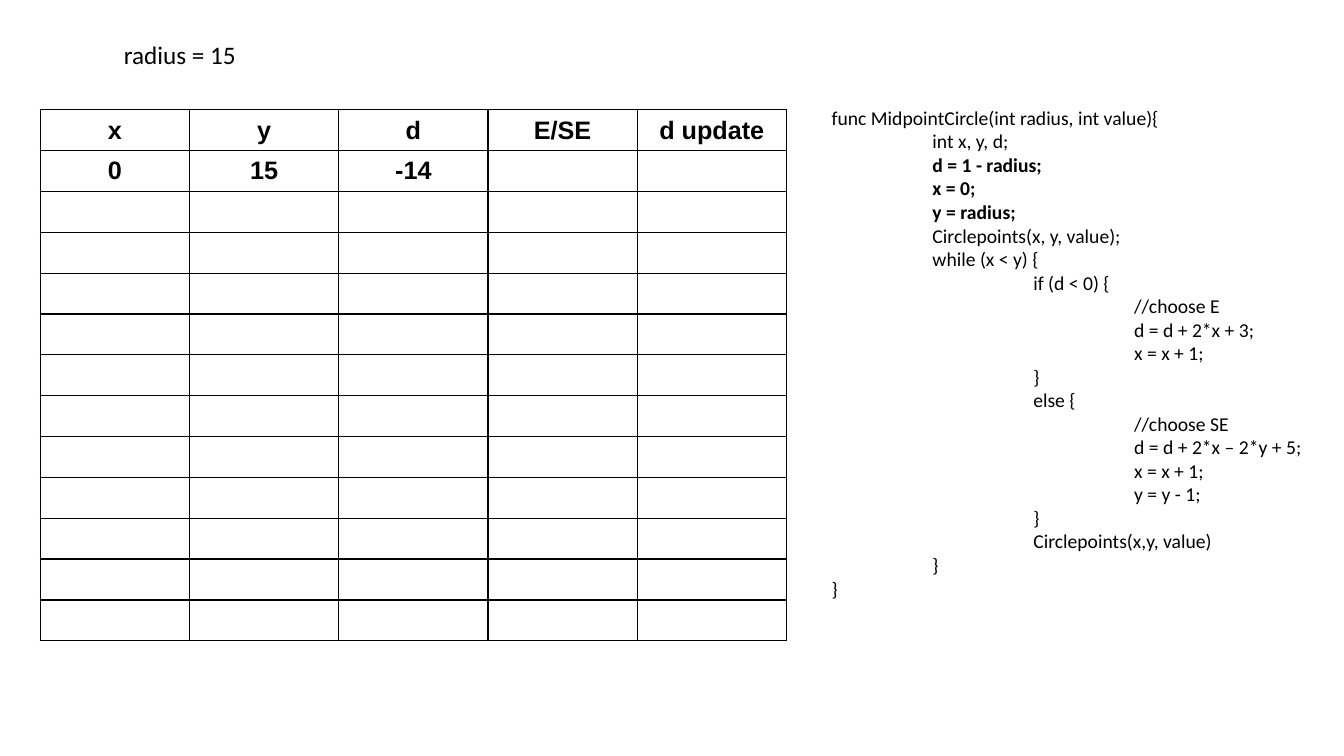
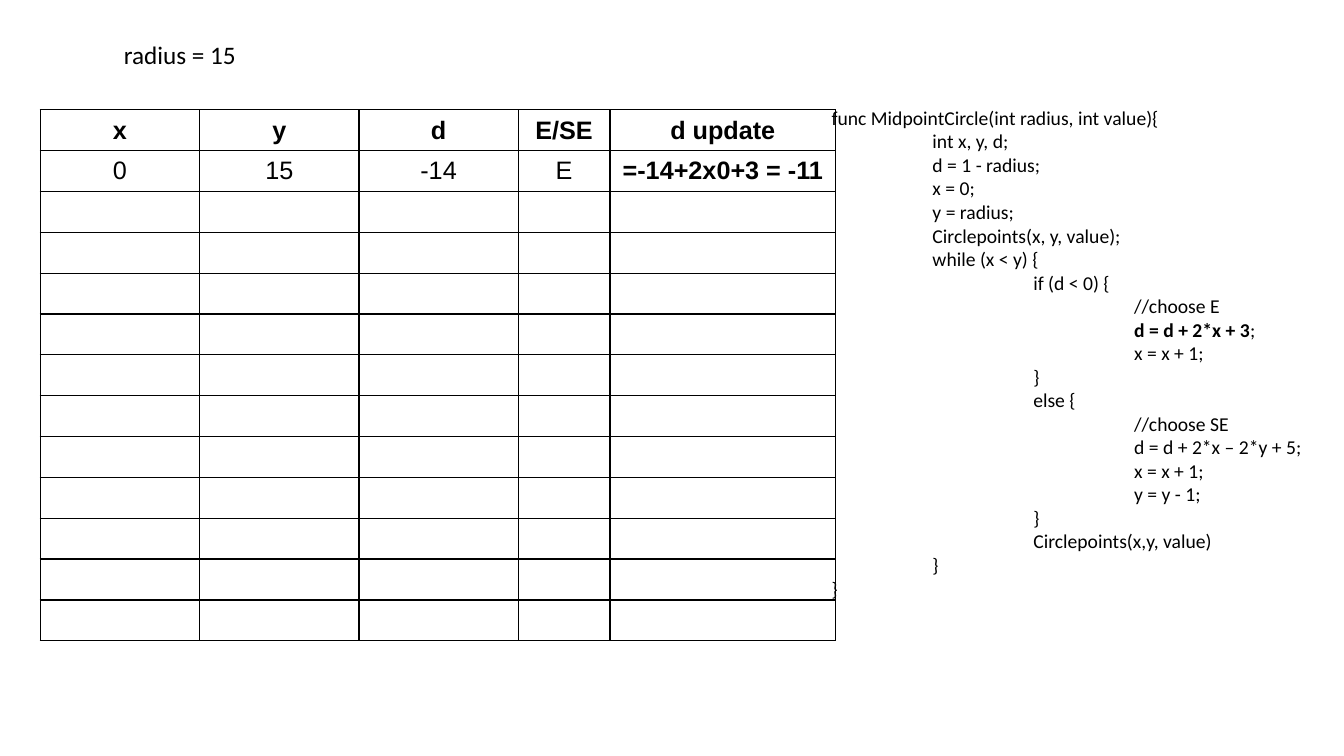
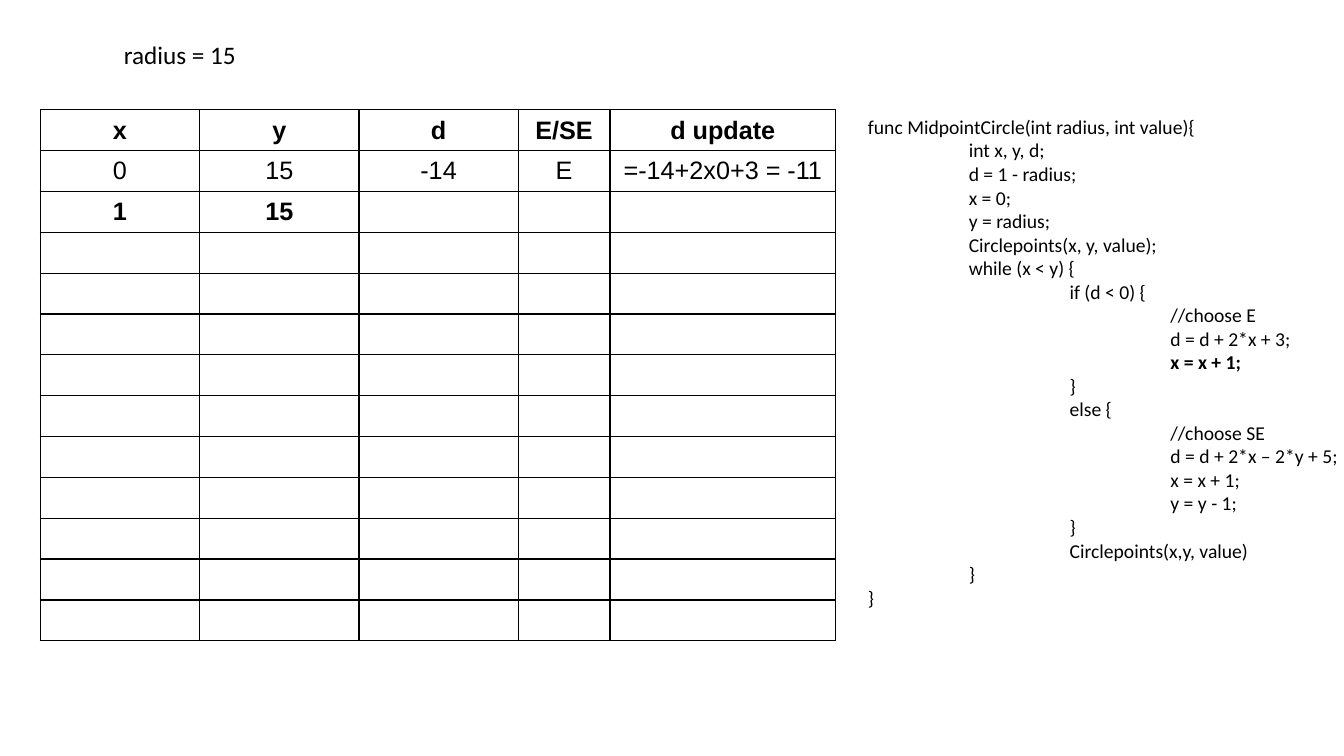
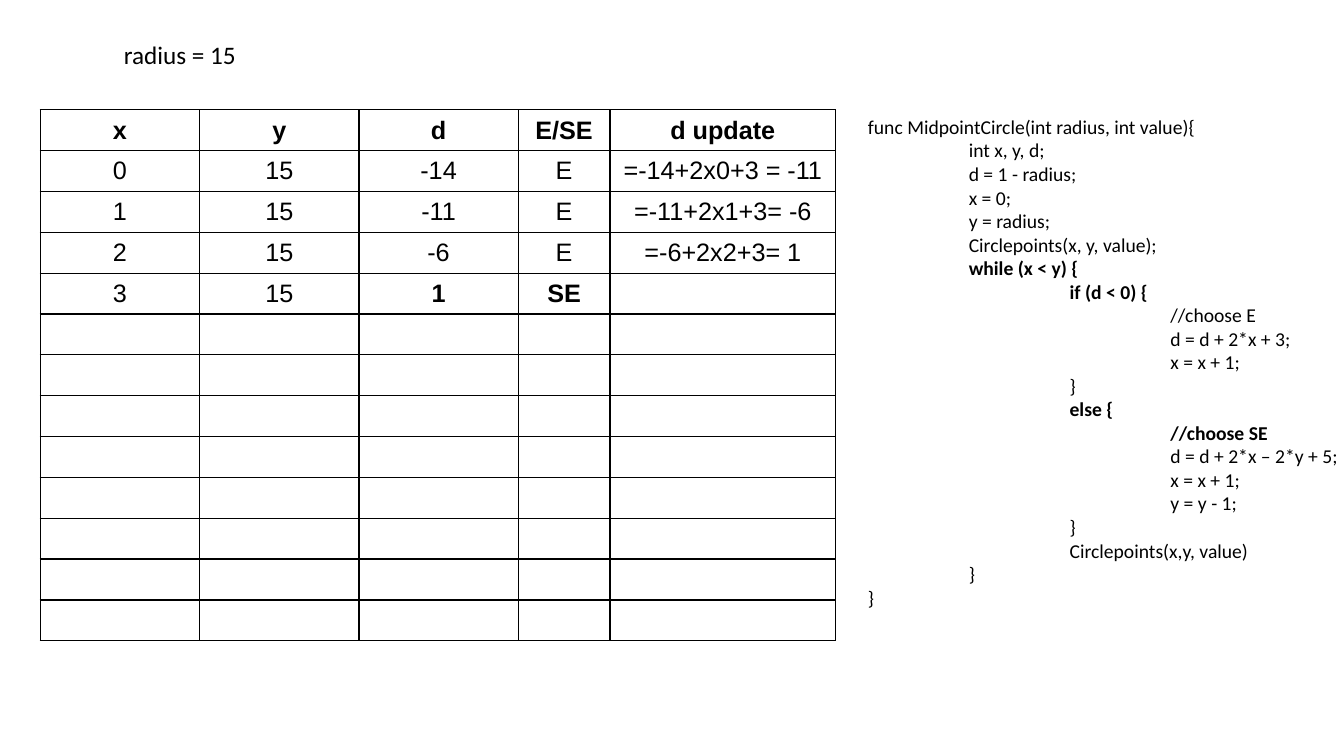
from dataclasses import dataclass

from lxml import etree
from pptx import Presentation
from pptx.dml.color import RGBColor
from pptx.enum.text import MSO_ANCHOR, MSO_AUTO_SIZE, PP_ALIGN
from pptx.oxml.ns import qn
from pptx.util import Inches, Pt

CENTER = PP_ALIGN.CENTER
MIDDLE = MSO_ANCHOR.MIDDLE
GROW = MSO_AUTO_SIZE.SHAPE_TO_FIT_TEXT
BLANK_LAYOUT = 6

CODE = """func MidpointCircle(int radius, int value){
\tint x, y, d;
\td = 1 - radius;
\tx = 0;
\ty = radius;
\tCirclepoints(x, y, value);
\twhile (x < y) {
\t\tif (d < 0) {
\t\t\t//choose E
\t\t\td = d + 2*x + 3;
\t\t\tx = x + 1;
\t\t}
\t\telse {
\t\t\t//choose SE
\t\t\td = d + 2*x – 2*y + 5;
\t\t\tx = x + 1;
\t\t\ty = y - 1;
\t\t}
\t\tCirclepoints(x,y, value)
\t}
}""".split("\n")

HEADINGS = ["x", "y", "d", "E/SE", "d update"]
TRACE = [
    "0", "15", "-14", "E", "=-14+2x0+3 = -11",
    "1", "15", "-11", "E", "=-11+2x1+3= -6",
    "2", "15", "-6", "E", "=-6+2x2+3= 1",
    "3", "15", "1", "SE",
]
ROW_COUNT = 13
EVEN_COLUMNS = [1.48] * 5
WIDE_UPDATE = [1.58, 1.58, 1.58, 0.91, 2.24]
NEAR_CODE = (8.15, 1)
FAR_CODE = (8.51, 1.09)


@dataclass(frozen=True)
class Theme:
    ink: RGBColor = RGBColor(0, 0, 0)
    text_font: str = "Calibri"
    table_font: str = "Arial"
    code_size: int = 14
    body_size: int = 18
    border: float = 1


@dataclass
class Step:
    columns: list
    code_place: tuple
    shown: int
    fresh: int
    bold_code: dict


STEPS = [
    Step(EVEN_COLUMNS, NEAR_CODE, 3, 3,
         {3: "d = 1 - radius;", 4: "x = 0;", 5: "y = radius;"}),
    Step(WIDE_UPDATE, NEAR_CODE, 5, 1, {10: "d = d + 2*x + 3"}),
    Step(WIDE_UPDATE, FAR_CODE, 7, 2, {11: "x = x + 1;"}),
    Step(WIDE_UPDATE, FAR_CODE, 19, 2,
         {7: "while (x < y) {", 8: "if (d < 0) {", 13: "else {", 14: "//choose SE"}),
]


class TraceDeck:
    """Draws the steps of a traced algorithm in one shared style."""

    def __init__(self, theme):
        self.theme = theme
        self.deck = Presentation()
        self.deck.slide_width = Inches(13.33)
        self.deck.slide_height = Inches(7.5)
        self.page = None

    def add_page(self):
        self.page = self.deck.slides.add_slide(self.deck.slide_layouts[BLANK_LAYOUT])

    def style(self, para, name, size):
        para.font.name = name
        para.font.size = Pt(size)
        para.font.color.rgb = self.theme.ink

    def add_box(self, left, top, width, height, wrap):
        box = self.page.shapes.add_textbox(
            Inches(left), Inches(top), Inches(width), Inches(height))
        box.text_frame.word_wrap = wrap
        box.text_frame.auto_size = GROW
        return box.text_frame

    def add_label(self, text):
        para = self.add_box(1.13, 0.34, 1.33, 0.4, False).paragraphs[0]
        para.text = text
        self.style(para, self.theme.text_font, self.theme.body_size)

    def add_tabs(self, para):
        tabs = etree.SubElement(para._p.get_or_add_pPr(), qn("a:tabLst"))
        for stop in range(1, 4):
            etree.SubElement(tabs, qn("a:tab"), pos=str(Inches(stop)), algn="l")

    def add_code(self, place, bold_code):
        frame = self.add_box(*place, 5.12, 5.28, True)
        for number, line in enumerate(CODE, 1):
            para = frame.paragraphs[0] if number == 1 else frame.add_paragraph()
            self.add_tabs(para)
            self.style(para, self.theme.text_font, self.theme.code_size)
            phrase = bold_code.get(number)
            for part in line.partition(phrase) if phrase else [line]:
                if part:
                    span = para.add_run()
                    span.text = part
                    if part == phrase:
                        span.font.bold = True

    def add_borders(self, cell):
        properties = cell._tc.get_or_add_tcPr()
        for side in ("lnL", "lnR", "lnT", "lnB"):
            line = etree.SubElement(
                properties, qn(f"a:{side}"), w=str(Pt(self.theme.border)))
            fill = etree.SubElement(line, qn("a:solidFill"))
            etree.SubElement(fill, qn("a:srgbClr"), val=str(self.theme.ink))

    def add_table(self, columns, shown, fresh):
        table = self.page.shapes.add_table(
            ROW_COUNT, len(columns), Inches(0.4), Inches(1.09),
            Inches(sum(columns)), Inches(5.27)).table
        table.first_row = False
        table.horz_banding = False
        for column, width in zip(table.columns, columns):
            column.width = Inches(width)
        texts = HEADINGS + TRACE[:shown]
        first_fresh = len(texts) - fresh
        for index, cell in enumerate(table.iter_cells()):
            self.add_borders(cell)
            cell.fill.background()
            cell.vertical_anchor = MIDDLE
            para = cell.text_frame.paragraphs[0]
            para.alignment = CENTER
            if index < len(texts):
                para.text = texts[index]
            self.style(para, self.theme.table_font, self.theme.body_size)
            para.font.bold = index < len(HEADINGS) or index >= first_fresh


def main():
    trace = TraceDeck(Theme())
    for step in STEPS:
        trace.add_page()
        trace.add_code(step.code_place, step.bold_code)
        trace.add_table(step.columns, step.shown, step.fresh)
        trace.add_label("radius = 15")
    trace.deck.save("out.pptx")


if __name__ == "__main__":
    main()
